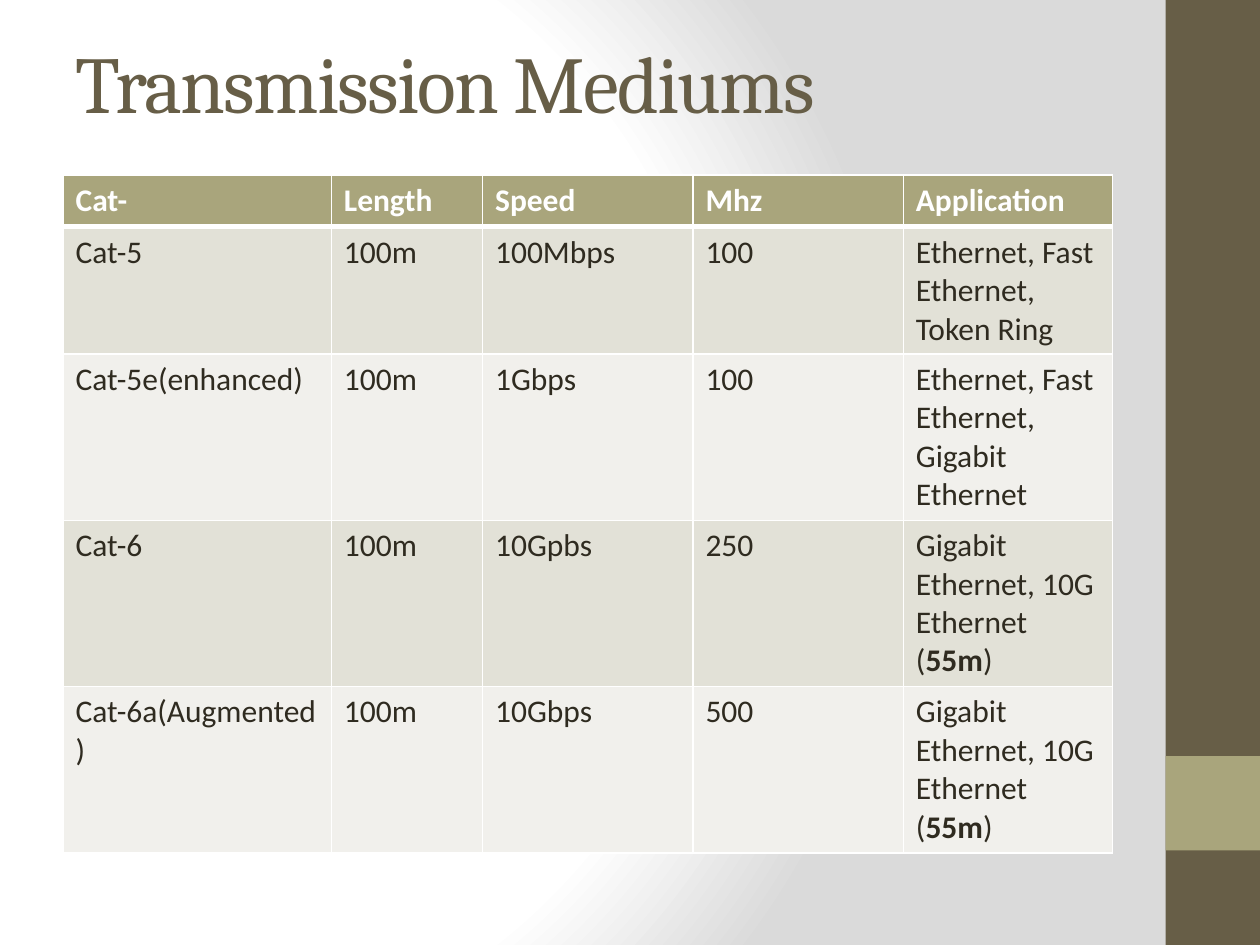
from dataclasses import dataclass

from lxml import etree
from pptx import Presentation
from pptx.dml.color import RGBColor
from pptx.enum import shapes, text
from pptx.oxml import parse_xml
from pptx.oxml.ns import nsdecls, qn
from pptx.util import Inches, Pt


@dataclass(frozen=True)
class Theme:
    dark: str = "675E47"
    accent: str = "A9A57C"
    ink: str = "2F2B20"
    white: str = "FFFFFF"
    shade: str = "DADADA"
    bands: tuple = ("E2E1D7", "F1F0EC")
    heading: str = "Cambria"
    body: str = "Calibri"
    title_size: int = 46
    body_size: int = 18


T = Theme()
COLUMNS = (2.13, 1.2, 1.67, 1.67, 1.66)
ROW_HEIGHTS = (0.41, 1.01, 1.32, 1.32, 1.32)
HEADER = ("Cat-", "Length", "Speed", "Mhz", "Application")
TEN_GIG = ("Gigabit Ethernet, 10G Ethernet (", "55m", ")")
# Each cell is a tuple of runs or one string; every second run is bold
CABLES = (
    ("Cat-5", "100m", "100Mbps", "100", "Ethernet, Fast Ethernet, Token Ring"),
    ("Cat-5e(enhanced)", "100m", "1Gbps", "100",
     "Ethernet, Fast Ethernet, Gigabit Ethernet"),
    ("Cat-6", "100m", "10Gpbs", "250", TEN_GIG),
    ("Cat-6a(Augmented)", "100m", "10Gbps", "500", TEN_GIG),
)


def add_run(p, words, font, size, color, bold=False):
    r = p.add_run()
    r.text = words
    r.font.name = font
    r.font.size = Pt(size)
    r.font.bold = bold
    r.font.color.rgb = RGBColor.from_string(color)
    return r


def set_background(s):
    stops = "".join(
        f'<a:gs pos="{pos * 1000}"><a:srgbClr val="{color}"/></a:gs>'
        for pos, color in ((0, T.white), (75, T.white), (100, T.shade)))
    s.element.cSld.insert(0, parse_xml(
        f'<p:bg {nsdecls("p", "a")}><p:bgPr><a:gradFill rotWithShape="1">'
        f'<a:gsLst>{stops}</a:gsLst><a:path path="circle">'
        '<a:fillToRect l="20000" t="50000" r="100000" b="50000"/></a:path>'
        '</a:gradFill><a:effectLst/></p:bgPr></p:bg>'))


def add_side_bar(s, left, top, width, height):
    # Full-height band with a square accent one width above the bottom
    accent_top = top + height - 2 * width
    for y, h, color in ((top, height, T.dark), (accent_top, width, T.accent)):
        sp = s.shapes.add_shape(shapes.MSO_SHAPE.RECTANGLE, Inches(left),
                                Inches(y), Inches(width), Inches(h))
        sp.shadow.inherit = False
        sp.fill.solid()
        sp.fill.fore_color.rgb = RGBColor.from_string(color)
        sp.line.fill.background()


def add_title(s, words, left, top, width, height):
    sp = s.shapes.add_textbox(Inches(left), Inches(top),
                              Inches(width), Inches(height))
    tf = sp.text_frame
    tf.word_wrap = True
    tf.vertical_anchor = text.MSO_ANCHOR.MIDDLE
    r = add_run(tf.paragraphs[0], words, T.heading, T.title_size, T.dark)
    r.font._element.set("spc", "-100")


def set_borders(cell, top, bottom):
    tc_pr = cell._tc.get_or_add_tcPr()
    for side, width in (("L", 1), ("R", 1), ("T", top), ("B", bottom)):
        ln = etree.SubElement(tc_pr, qn(f"a:ln{side}"), w=str(Pt(width)))
        fill = etree.SubElement(ln, qn("a:solidFill"))
        etree.SubElement(fill, qn("a:srgbClr"), val=T.white)


def add_cable_table(s, left, top):
    rows = (HEADER,) + CABLES
    table = s.shapes.add_table(
        len(rows), len(COLUMNS), Inches(left), Inches(top),
        Inches(sum(COLUMNS)), Inches(sum(ROW_HEIGHTS))).table
    for column, width in zip(table.columns, COLUMNS):
        column.width = Inches(width)
    for i, values in enumerate(rows):
        table.rows[i].height = Inches(ROW_HEIGHTS[i])
        header = i == 0
        fill = T.accent if header else T.bands[(i - 1) % 2]
        for j, value in enumerate(values):
            cell = table.cell(i, j)
            # A heavier rule separates the header from the body
            set_borders(cell, 3 if i == 1 else 1, 3 if header else 1)
            cell.fill.solid()
            cell.fill.fore_color.rgb = RGBColor.from_string(fill)
            runs = (value,) if isinstance(value, str) else value
            for k, words in enumerate(runs):
                add_run(cell.text_frame.paragraphs[0], words, T.body,
                        T.body_size, T.white if header else T.ink,
                        bold=header or k % 2 == 1)


def main():
    prs = Presentation()
    prs.slide_width, prs.slide_height = Inches(10), Inches(7.5)
    s = prs.slides.add_slide(prs.slide_layouts[6])
    set_background(s)
    add_side_bar(s, 9.25, 0, 0.75, 7.5)
    add_title(s, "Transmission Mediums", 0.5, 0.3, 8.33, 0.69)
    add_cable_table(s, 0.5, 1.39)
    prs.save("out.pptx")


if __name__ == "__main__":
    main()
